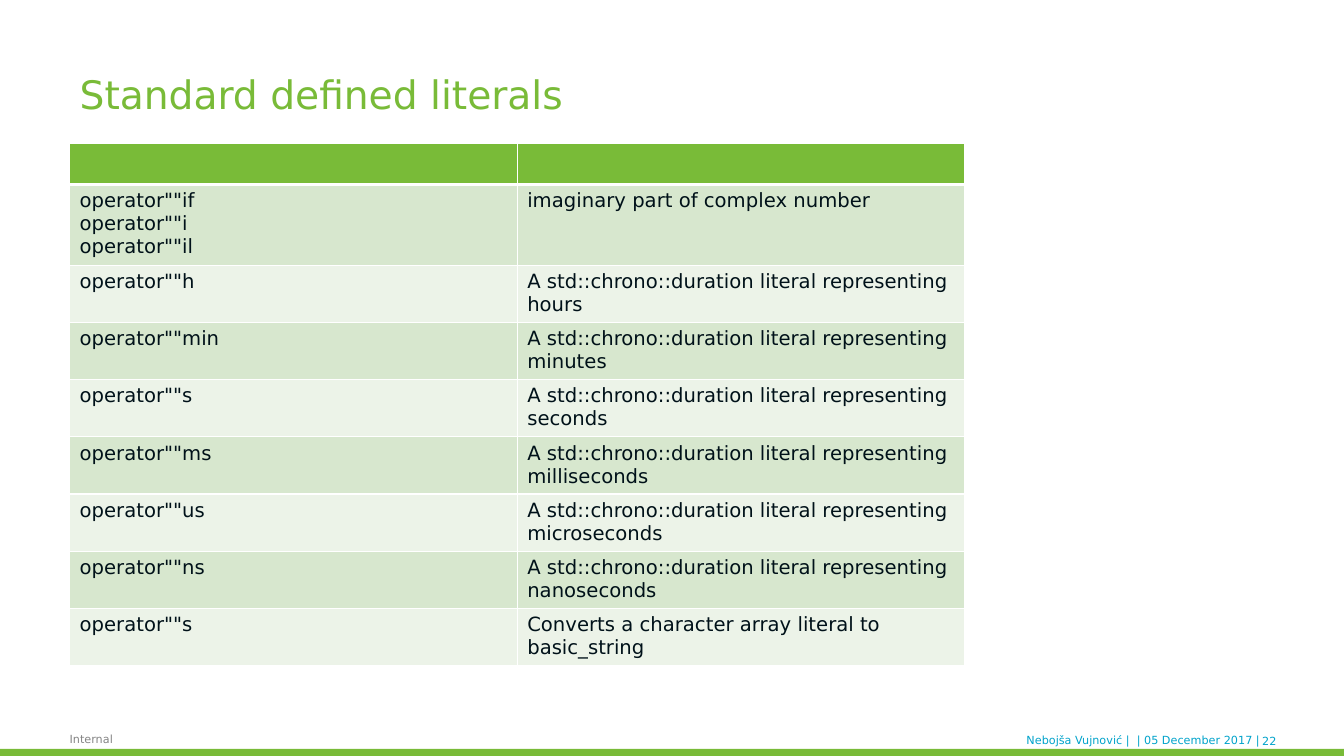
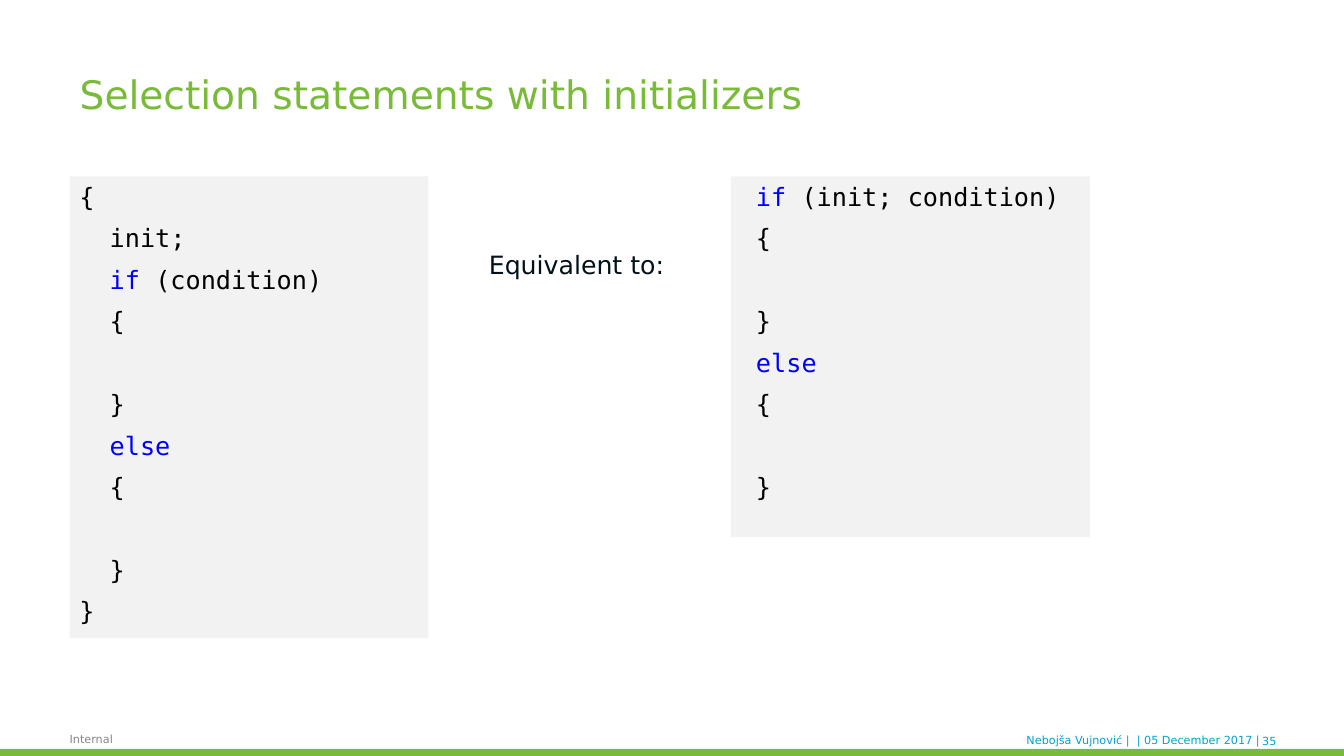
from dataclasses import dataclass

from lxml.etree import SubElement
from pptx import Presentation
from pptx.dml.color import RGBColor
from pptx.enum.shapes import MSO_SHAPE
from pptx.enum.text import MSO_ANCHOR, MSO_AUTO_SIZE, PP_ALIGN
from pptx.oxml.ns import qn
from pptx.util import Emu, Pt

EMU_PER_PX = 9144  # 100 px to the inch
SLIDE_W, SLIDE_H = 1333, 750
MARGIN = 69
TITLE_LAYOUT = 5


@dataclass(frozen=True)
class Theme:
    sans: str = "DejaVu Sans"
    mono: str = "DejaVu Sans Mono"
    green: str = "79BB38"
    cyan: str = "00A3CB"
    grey: str = "858585"
    ink: str = "001119"
    white: str = "FFFFFF"
    bands: tuple = ("D7E7CE", "ECF3E8")
    code_back: str = "F2F2F2"
    code_ink: str = "000000"
    keyword: str = "0000FF"
    title_size: int = 28
    body_size: int = 18
    table_size: int = 14
    footer_size: int = 8


THEME = Theme()
KEYWORDS = {"if", "else"}
CODE_CHAR = 15  # px, width of one monospaced character
CODE_LINE = 21.5  # pt
CODE_SPACE = 8  # pt after each line

DURATION_UNITS = {
    "h": "hours",
    "min": "minutes",
    "s": "seconds",
    "ms": "milliseconds",
    "us": "microseconds",
    "ns": "nanoseconds",
}
LITERALS = [
    ('operator""if\noperator""i\noperator""il', "imaginary part of complex number"),
    *((f'operator""{suffix}', f"A std::chrono::duration literal representing {unit}")
      for suffix, unit in DURATION_UNITS.items()),
    ('operator""s', "Converts a character array literal to basic_string"),
]

NESTED_IF = """\
{
  init;
  if (condition)
  {

  }
  else
  {

  }
}"""

IF_WITH_INITIALIZER = """\
 if (init; condition)
 {

 }
 else
 {

 }"""


def px(length):
    return Emu(length * EMU_PER_PX)


def box(left, top, width, height):
    return [px(length) for length in (left, top, width, height)]


def apply(target, **values):
    for attribute, value in values.items():
        setattr(target, attribute, value)


def set_font(font, size, color, name=THEME.sans):
    apply(font, size=Pt(size), name=name)
    font.color.rgb = RGBColor.from_string(color)


def paint(target, color):
    target.fill.solid()
    target.fill.fore_color.rgb = RGBColor.from_string(color)


def add_panel(slide, bounds, color):
    panel = slide.shapes.add_shape(MSO_SHAPE.RECTANGLE, *box(*bounds))
    panel.shadow.inherit = False
    panel.line.fill.background()
    paint(panel, color)
    return panel


def add_footer_text(slide, bounds, text, color, **paragraph_format):
    frame = slide.shapes.add_textbox(*box(*bounds)).text_frame
    apply(frame, word_wrap=True, vertical_anchor=MSO_ANCHOR.MIDDLE,
          margin_left=0, margin_top=0, margin_right=0, margin_bottom=0)
    paragraph = frame.paragraphs[0]
    paragraph.text = text
    apply(paragraph, **paragraph_format)
    set_font(paragraph.font, THEME.footer_size, color)


def add_footer(slide, number):
    add_panel(slide, (0, 743, SLIDE_W, 7), THEME.green)
    add_footer_text(slide, (314, 725, 936, 18),
                    "Nebojša Vujnović |  | 05 December 2017 |",
                    THEME.cyan, alignment=PP_ALIGN.RIGHT)
    add_footer_text(slide, (1241, 726, 25, 18), str(number),
                    THEME.cyan, alignment=PP_ALIGN.RIGHT)
    add_footer_text(slide, (MARGIN, 725, 262, 18), "Internal",
                    THEME.grey, line_spacing=0.95)


def add_content_slide(deck, heading, number):
    """Add a slide with the shared title and footer."""
    slide = deck.slides.add_slide(deck.slide_layouts[TITLE_LAYOUT])
    title = slide.shapes.title
    left, top, width, height = box(MARGIN, 44, 913, 73)
    apply(title, left=left, top=top, width=width, height=height)
    apply(title.text_frame, text=heading, word_wrap=True,
          auto_size=MSO_AUTO_SIZE.NONE, vertical_anchor=MSO_ANCHOR.BOTTOM,
          margin_left=px(10), margin_right=px(10), margin_top=0, margin_bottom=0)
    paragraph = title.text_frame.paragraphs[0]
    apply(paragraph, alignment=PP_ALIGN.LEFT, line_spacing=0.9)
    set_font(paragraph.runs[0].font, THEME.title_size, THEME.green)
    add_footer(slide, number)
    return slide


def set_borders(cell, **widths):
    """Give the sides L, R, T and B of a cell white lines, 1 pt unless stated."""
    properties = cell._tc.get_or_add_tcPr()
    for side in "LRTB":
        line = SubElement(properties, qn(f"a:ln{side}"), w=str(Pt(widths.get(side, 1))))
        SubElement(SubElement(line, qn("a:solidFill")), qn("a:srgbClr"), val=THEME.white)


def add_literal_table(slide, rows):
    row_height, column_width = 41, 444
    row_count = len(rows) + 1
    table = slide.shapes.add_table(
        row_count, 2, *box(MARGIN, 142, 2 * column_width, row_count * row_height)).table
    for row in table.rows:
        row.height = px(row_height)
    for cell in table.rows[0].cells:
        set_borders(cell, B=3)
        paint(cell, THEME.green)
    for index, texts in enumerate(rows):
        for column, text in enumerate(texts):
            cell = table.cell(index + 1, column)
            set_borders(cell, T=1 if index else 3)
            paint(cell, THEME.bands[index % 2])
            cell.text = text
            for paragraph in cell.text_frame.paragraphs:
                set_font(paragraph.runs[0].font, THEME.table_size, THEME.ink)


def add_code_line(paragraph, line):
    code = line.lstrip()
    indent = len(line) - len(code)
    paragraph._p.get_or_add_pPr().set("marL", str(px(indent * CODE_CHAR)))
    apply(paragraph, alignment=PP_ALIGN.LEFT, space_after=Pt(CODE_SPACE))
    word, space, rest = code.partition(" ")
    parts = [(word, THEME.keyword), (space + rest, THEME.code_ink)]
    if word not in KEYWORDS:
        parts = [(code, THEME.code_ink)]
    for text, color in parts:
        if text:
            run = paragraph.add_run()
            run.text = text
            set_font(run.font, THEME.body_size, color, THEME.mono)


def add_code(slide, left, height, source):
    """Draw a listing; an empty source line widens the space above the next line."""
    frame = add_panel(slide, (left, 175, 356, height), THEME.code_back).text_frame
    apply(frame, word_wrap=True, vertical_anchor=MSO_ANCHOR.TOP)
    paragraph = None
    for line in source.splitlines():
        if line:
            paragraph = frame.add_paragraph() if paragraph else frame.paragraphs[0]
            add_code_line(paragraph, line)
        else:
            paragraph.space_after = Pt(CODE_LINE + 2 * CODE_SPACE)


def add_label(slide, bounds, text):
    frame = slide.shapes.add_textbox(*box(*bounds)).text_frame
    apply(frame, text=text, word_wrap=False, auto_size=MSO_AUTO_SIZE.SHAPE_TO_FIT_TEXT)
    set_font(frame.paragraphs[0].runs[0].font, THEME.body_size, THEME.ink)


def main():
    deck = Presentation()
    apply(deck, slide_width=px(SLIDE_W), slide_height=px(SLIDE_H))

    literals = add_content_slide(deck, "Standard defined literals", 22)
    add_literal_table(literals, LITERALS)

    selection = add_content_slide(deck, "Selection statements with initializers", 35)
    add_code(selection, MARGIN, 458, NESTED_IF)
    add_code(selection, 725, 358, IF_WITH_INITIALIZER)
    add_label(selection, (475, 242, 198, 40), "Equivalent to:")

    deck.save("out.pptx")


if __name__ == "__main__":
    main()
